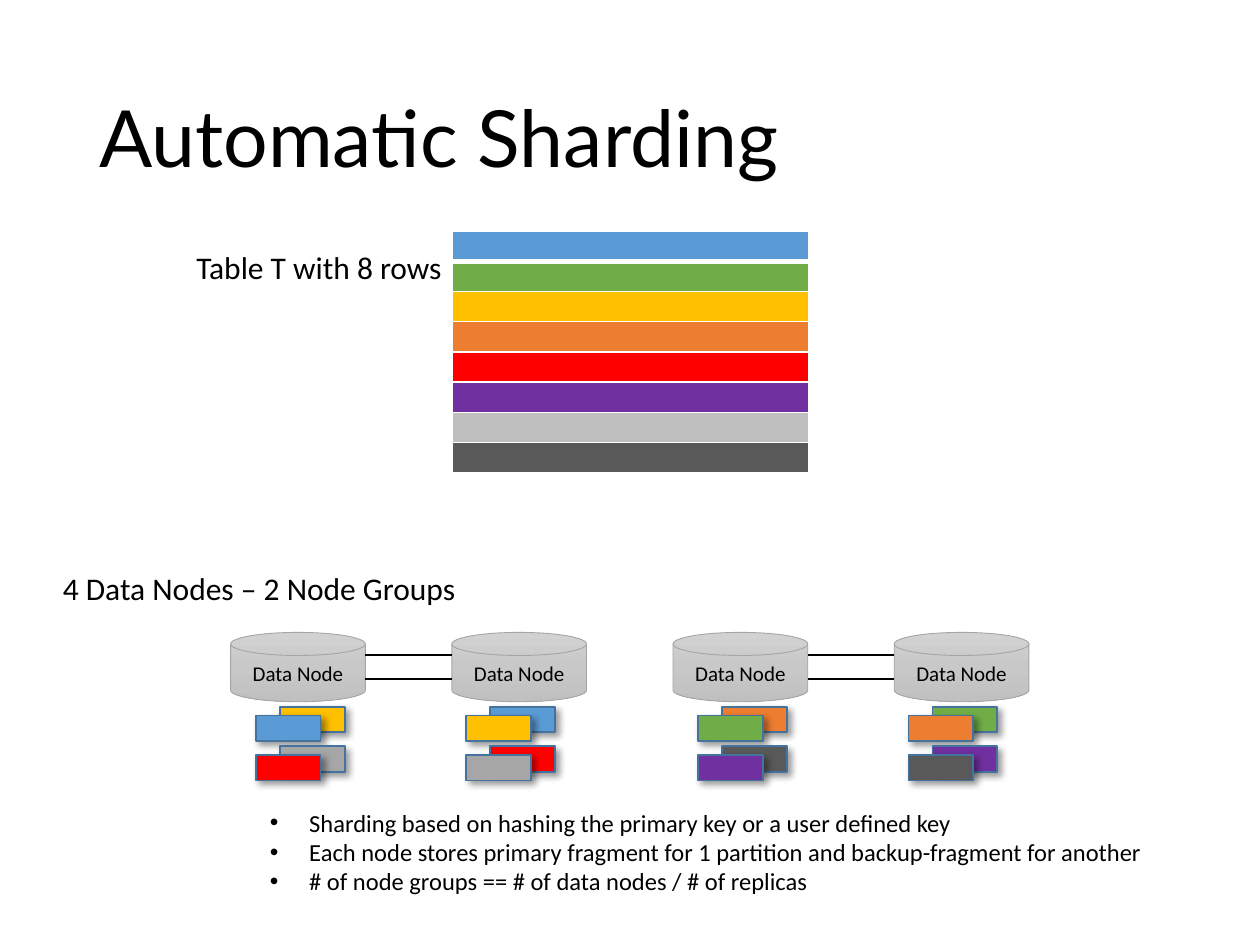
from copy import deepcopy
from pptx import Presentation
from pptx.dml.color import RGBColor as RGB
from pptx.enum.shapes import MSO_CONNECTOR as CONN, MSO_SHAPE as SHAPE
from pptx.enum.text import MSO_ANCHOR as ANCHOR, MSO_AUTO_SIZE as AUTO, PP_ALIGN as ALIGN
from pptx.oxml import parse_xml
from pptx.oxml.ns import nsdecls, qn
from pptx.util import Pt

C = {
    "blue": "5B9BD5", "green": "70AD47", "gold": "FFC000", "orange": "ED7D31",
    "red": "FF0000", "purple": "7030A0", "silver": "BFBFBF", "dark": "595959",
    "gray": "A6A6A6", "edge": "43739E", "rim": "A5A5A5",
    "black": "000000", "white": "FFFFFF",
}
DISK_STOPS = ["D2D2D2", "C8C8C8", "C0C0C0"]
TITLE = "Automatic Sharding"
ROWS = ["blue", "green", "gold", "orange", "red", "purple", "silver", "dark"]
LABELS = [
    ("Table T with 8 rows", 105.1, 138.2, 156.2),
    ("4 Data Nodes – 2 Node Groups", 28.8, 321.4, 242),
]
BULLETS = [
    "Sharding based on hashing the primary key or a user defined key",
    "Each node stores primary fragment for 1 partition and backup-fragment for another",
    "# of node groups == # of data nodes / # of replicas",
]
NODE = "Data Node"
GROUPS = [
    (146.2, [[("gold", "blue"), ("gray", "red")],
             [("blue", "gold"), ("red", "gray")]]),
    (398.9, [[("orange", "green"), ("dark", "purple")],
             [("green", "orange"), ("purple", "dark")]]),
]

DISK_X, DISK_Y, DISK_W, DISK_H, DISK_STEP = 131.8, 361.4, 77, 39.6, 126.4
LINK_YS = [374.2, 388.1]
FRAG_Y, FRAG_W, FRAG_H, FRAG_STEP = 403.9, 37, 14.5, 120.2
BACK_DX, FRONT_DY, PAIR_DY = 13.8, 5, 22.6


def rgb(name):
    return RGB.from_string(C[name])


def place(sp, x, y, w, h):
    sp.left, sp.top, sp.width, sp.height = Pt(x), Pt(y), Pt(w), Pt(h)


def write(p, text, size, font="Calibri"):
    r = p.add_run()
    r.text = text
    r.font.size, r.font.name = Pt(size), font
    r.font.color.rgb = rgb("black")


def add_label(s, text, x, y, w):
    tf = s.shapes.add_textbox(Pt(x), Pt(y), Pt(w), Pt(29)).text_frame
    tf.word_wrap = False
    tf.auto_size = AUTO.SHAPE_TO_FIT_TEXT
    write(tf.paragraphs[0], text, 18)


def add_bullets(sp):
    place(sp, 147, 457.9, 517.7, 58.3)
    tf = sp.text_frame
    tf.word_wrap, tf.auto_size = False, AUTO.NONE
    for i, text in enumerate(BULLETS):
        p = tf.add_paragraph() if i else tf.paragraphs[0]
        p.space_before = Pt(0)
        pPr = p._p.get_or_add_pPr()
        pPr.set("marL", str(Pt(22.5)))
        pPr.set("indent", str(-Pt(22.5)))
        pPr.append(parse_xml(f'<a:buFont {nsdecls("a")} typeface="Arial"/>'))
        pPr.append(parse_xml(f'<a:buChar {nsdecls("a")} char="•"/>'))
        write(p, text, 14)


def set_borders(cell, widths):
    tcPr = cell._tc.get_or_add_tcPr()
    for i, (side, width) in enumerate(widths.items()):
        tcPr.insert(i, parse_xml(
            f'<a:ln{side} {nsdecls("a")} w="{Pt(width)}"><a:solidFill>'
            f'<a:srgbClr val="{C["white"]}"/></a:solidFill></a:ln{side}>'))


def add_rows(s):
    h = 17.28
    table = s.shapes.add_table(len(ROWS), 1, Pt(258.7), Pt(132),
                               Pt(203.5), Pt(h * len(ROWS))).table
    for i, name in enumerate(ROWS):
        table.rows[i].height = Pt(h)
        cell = table.cell(i, 0)
        cell.margin_top = cell.margin_bottom = Pt(0)
        cell.fill.solid()
        cell.fill.fore_color.rgb = rgb(name)
        end = cell.text_frame.paragraphs[0]._p.get_or_add_endParaRPr()
        end.set("sz", "800")
        set_borders(cell, {"L": 1, "R": 1, "T": 3 if i == 1 else 1, "B": 3 if i == 0 else 1})


def add_disk(g, x):
    sp = g.shapes.add_shape(SHAPE.FLOWCHART_MAGNETIC_DISK, Pt(x), Pt(DISK_Y),
                            Pt(DISK_W), Pt(DISK_H))
    sp.shadow.inherit = False
    sp.fill.gradient()
    sp.fill.gradient_angle = 270
    stops = sp._element.spPr.find(qn("a:gradFill")).find(qn("a:gsLst"))
    stops.insert(1, deepcopy(stops[0]))
    for i, (stop, color) in enumerate(zip(sp.fill.gradient_stops, DISK_STOPS)):
        stop.position = i / 2
        stop.color.rgb = RGB.from_string(color)
    sp.line.color.rgb, sp.line.width = rgb("rim"), Pt(0.5)
    tf = sp.text_frame
    tf.vertical_anchor = ANCHOR.MIDDLE
    tf.paragraphs[0].alignment = ALIGN.CENTER
    write(tf.paragraphs[0], NODE, 12)


def add_link(g, x, y):
    cx = g.shapes.add_connector(CONN.STRAIGHT, Pt(x), Pt(y),
                                Pt(x + DISK_STEP - DISK_W), Pt(y))
    cx.line.color.rgb, cx.line.width = rgb("black"), Pt(1)
    cx._element.spPr.append(parse_xml(f'<a:effectLst {nsdecls("a")}/>'))


def add_fragment(g, x, y, color):
    sp = g.shapes.add_shape(SHAPE.RECTANGLE, Pt(x), Pt(y), Pt(FRAG_W), Pt(FRAG_H))
    sp.fill.solid()
    sp.fill.fore_color.rgb = rgb(color)
    sp.line.color.rgb, sp.line.width = rgb("edge"), Pt(1)
    sp.shadow.inherit = False
    sp._element.spPr.find(qn("a:effectLst")).append(parse_xml(
        f'<a:outerShdw {nsdecls("a")} blurRad="{Pt(4)}" dist="{Pt(3)}" dir="2700000" '
        f'algn="tl" rotWithShape="0"><a:srgbClr val="{C["black"]}">'
        '<a:alpha val="40000"/></a:srgbClr></a:outerShdw>'))


def add_node_group(s, disk_x, frag_x, nodes):
    g = s.shapes.add_group_shape()
    for i in range(len(nodes)):
        add_disk(g, disk_x + i * DISK_STEP)
    for y in LINK_YS:
        add_link(g, disk_x + DISK_W, y)
    for i, pairs in enumerate(nodes):
        x = frag_x + i * FRAG_STEP
        for j, (back, front) in enumerate(pairs):
            y = FRAG_Y + j * PAIR_DY
            add_fragment(g, x + BACK_DX, y, back)
            add_fragment(g, x, y + FRONT_DY, front)


def main():
    prs = Presentation()
    prs.slide_width, prs.slide_height = Pt(720), Pt(540)
    s = prs.slides.add_slide(prs.slide_layouts[1])
    title = s.shapes.title
    place(title, 49.5, 28.75, 621, 104.4)
    tf = title.text_frame
    tf.vertical_anchor, tf.auto_size = ANCHOR.MIDDLE, AUTO.NONE
    p = tf.paragraphs[0]
    p.alignment, p.line_spacing = ALIGN.LEFT, 0.9
    write(p, TITLE, 45, "Lato")
    add_rows(s)
    for label in LABELS:
        add_label(s, *label)
    add_bullets(s.placeholders[1])
    for i, (frag_x, nodes) in enumerate(GROUPS):
        add_node_group(s, DISK_X + 2 * i * DISK_STEP, frag_x, nodes)
    prs.save("out.pptx")


if __name__ == "__main__":
    main()
